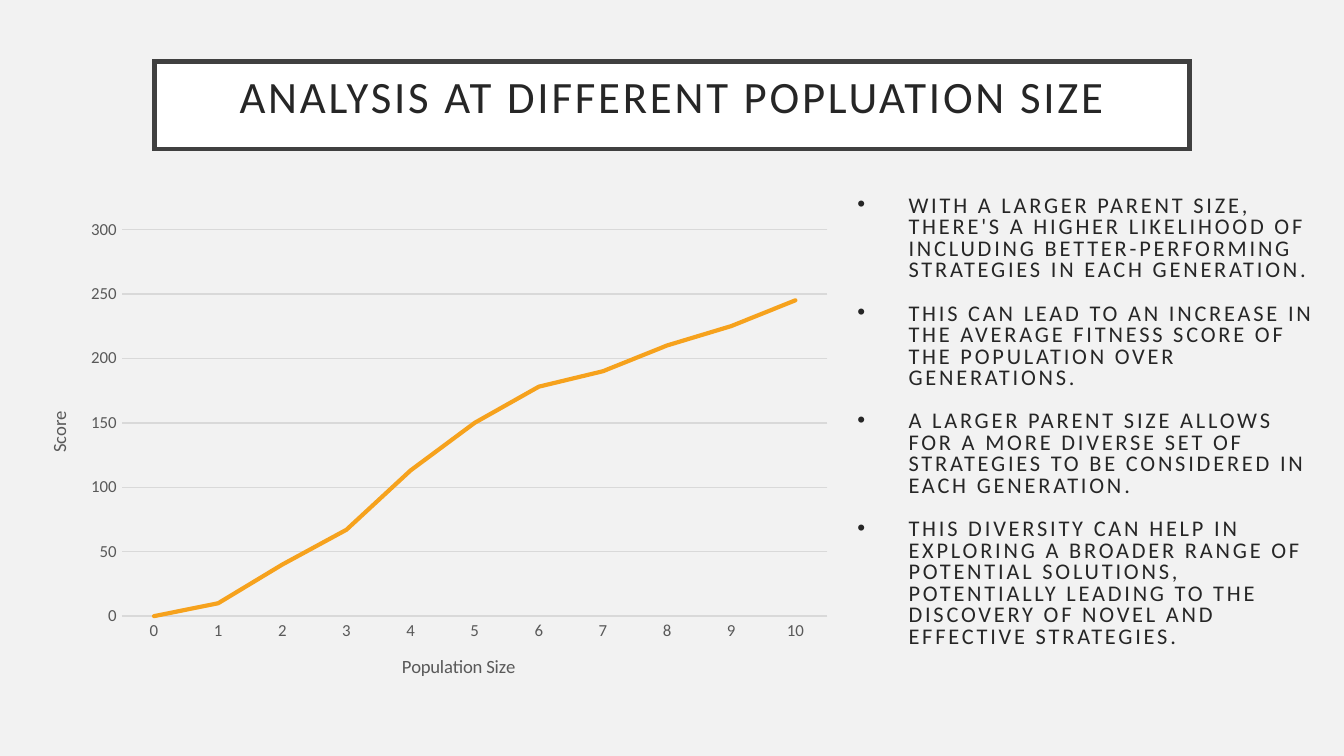
from lxml.etree import SubElement
from pptx import Presentation
from pptx.chart.data import CategoryChartData
from pptx.dml.color import RGBColor
from pptx.enum.chart import XL_CHART_TYPE as ChartType, XL_TICK_MARK as Tick
from pptx.enum.text import MSO_ANCHOR as Anchor, MSO_AUTO_SIZE as AutoSize, PP_ALIGN as Align
from pptx.oxml.ns import qn
from pptx.util import Inches, Pt

COLORS = {
    "background": "F2F2F2", "panel": "FFFFFF", "border": "404040", "text": "262626",
    "axis": "595959", "grid": "D9D9D9", "score": "F6A21D",
}
FONT = "Calibri"
HEADING = "ANALYSIS AT DIFFERENT POPLUATION SIZE"
FINDINGS = [
    "WITH A LARGER PARENT SIZE, THERE'S A HIGHER LIKELIHOOD OF INCLUDING "
    "BETTER-PERFORMING STRATEGIES IN EACH GENERATION.",
    "THIS CAN LEAD TO AN INCREASE IN THE AVERAGE FITNESS SCORE OF THE POPULATION "
    "OVER GENERATIONS.",
    "A LARGER PARENT SIZE ALLOWS FOR A MORE DIVERSE SET OF STRATEGIES TO BE "
    "CONSIDERED IN EACH GENERATION.",
    "THIS DIVERSITY CAN HELP IN EXPLORING A BROADER RANGE OF POTENTIAL SOLUTIONS, "
    "POTENTIALLY LEADING TO THE DISCOVERY OF NOVEL AND EFFECTIVE STRATEGIES.",
]
SCORES = [0, 10, 40, 67, 113, 150, 178, 190, 210, 225, 245]


def color(name):
    """Return the named palette colour."""
    return RGBColor.from_string(COLORS[name])


def style_font(font, size, tone):
    """Apply the deck typeface with a size and colour."""
    font.name, font.size, font.bold = FONT, Pt(size), False
    font.color.rgb = color(tone)


def write(paragraph, text, size=12, tone="text", align=Align.LEFT, leading=1.0,
          before=0, tracking=0, indent=0):
    """Fill a paragraph with formatted text, bulleted when indented."""
    paragraph.alignment, paragraph.line_spacing = align, leading
    paragraph.space_before, paragraph.space_after = Pt(before), Pt(0)
    properties = paragraph._p.get_or_add_pPr()
    properties.set("marL", str(Inches(indent)))
    properties.set("indent", str(-Inches(indent)))
    if indent:
        SubElement(properties, qn("a:buFont"), typeface="Arial")
        SubElement(properties, qn("a:buChar"), char="•")
    else:
        SubElement(properties, qn("a:buNone"))
    run = paragraph.add_run()
    run.text = text
    style_font(run.font, size, tone)
    if tracking:
        run.font._element.set("spc", str(int(tracking * 100)))


def place(element, **fractions):
    """Give a chart part a manual layout in fractions of the chart."""
    layout = element.find(qn("c:layout"))
    if layout is None:
        layout = element.makeelement(qn("c:layout"), {})
        text = element.find(qn("c:tx"))
        element.insert(0 if text is None else element.index(text) + 1, layout)
    for child in list(layout):
        layout.remove(child)
    manual = SubElement(layout, qn("c:manualLayout"))
    if "w" in fractions:
        SubElement(manual, qn("c:layoutTarget"), val="inner")
    for mode in ("xMode", "yMode"):
        SubElement(manual, qn(f"c:{mode}"), val="edge")
    for key, value in fractions.items():
        SubElement(manual, qn(f"c:{key}"), val=str(value))


class SlideBuilder:
    """Holds the current slide and draws its styled elements."""

    def __init__(self, slide):
        """Set the slide and its background."""
        self.slide = slide
        slide.background.fill.solid()
        slide.background.fill.fore_color.rgb = color("background")

    def frame(self, holder, left, top, width, height):
        """Move a placeholder and return its prepared text frame."""
        holder.left, holder.top = Inches(left), Inches(top)
        holder.width, holder.height = Inches(width), Inches(height)
        frame = holder.text_frame
        frame.word_wrap, frame.auto_size = True, AutoSize.NONE
        frame.vertical_anchor = Anchor.TOP
        frame.margin_left = frame.margin_right = Inches(0.1)
        frame.margin_top = frame.margin_bottom = Inches(0.1)
        return frame

    def title(self, text, *box):
        """Draw the framed heading."""
        holder = self.slide.shapes.title
        frame = self.frame(holder, *box)
        holder.fill.solid()
        holder.fill.fore_color.rgb = color("panel")
        holder.line.color.rgb = color("border")
        holder.line.width = Pt(2.5)
        SubElement(holder.line._ln, qn("a:miter"), lim="800000")
        write(frame.paragraphs[0], text, size=24, align=Align.CENTER,
              leading=0.9, tracking=1.5)

    def bullets(self, items, *box):
        """Draw the list of findings."""
        frame = self.frame(self.slide.placeholders[1], *box)
        for index, item in enumerate(items):
            paragraph = frame.add_paragraph() if index else frame.paragraphs[0]
            write(paragraph, item, leading=0.8, before=11.7 if index else 0,
                  tracking=1.5, indent=0.38)

    def axis(self, axis, caption, x, y):
        """Style one chart axis and place its caption."""
        axis.major_tick_mark = axis.minor_tick_mark = Tick.NONE
        style_font(axis.tick_labels.font, 9, "axis")
        write(axis.axis_title.text_frame.paragraphs[0], caption, size=10,
              tone="axis", align=Align.CENTER)
        place(axis.axis_title._element, x=x, y=y)

    def line_chart(self, values, left, top, width, height):
        """Draw the score curve by population size."""
        data = CategoryChartData()
        data.categories = [str(size) for size in range(len(values))]
        data.add_series("Series 1", values)
        chart = self.slide.shapes.add_chart(
            ChartType.LINE, Inches(left), Inches(top), Inches(width), Inches(height), data).chart
        chart.has_legend = chart.has_title = False
        chart.font.name, chart.font.size = FONT, Pt(10)
        place(chart._chartSpace.chart.plotArea, x=0.125, y=0.04, w=0.855, h=0.78)
        sizes, scores = chart.category_axis, chart.value_axis
        self.axis(sizes, "Population Size", 0.46, 0.89)
        self.axis(scores, "Score", 0.03, 0.4)
        scores.minimum_scale, scores.maximum_scale, scores.major_unit = 0, 300, 50
        scores.format.line.fill.background()
        for line in (sizes.format.line, scores.major_gridlines.format.line):
            line.color.rgb, line.width = color("grid"), Pt(0.75)
        chart.plots[0].vary_by_categories = False
        curve = chart.plots[0].series[0]
        curve.smooth = False
        curve.format.line.color.rgb = color("score")
        curve.format.line.width = Pt(2.25)
        curve.format.line._ln.set("cap", "rnd")


def main():
    """Build and save the population size slide."""
    deck = Presentation()
    deck.slide_width = Inches(10)
    deck.slide_height = deck.slide_width * 9 // 16
    builder = SlideBuilder(deck.slides.add_slide(deck.slide_layouts[1]))
    builder.title(HEADING, 1.15, 0.46, 7.7, 0.65)
    builder.bullets(FINDINGS, 6.28, 1.36, 3.64, 3.91)
    builder.line_chart(SCORES, 0.14, 1.56, 6.14, 3.69)
    deck.save("out.pptx")


if __name__ == "__main__":
    main()
